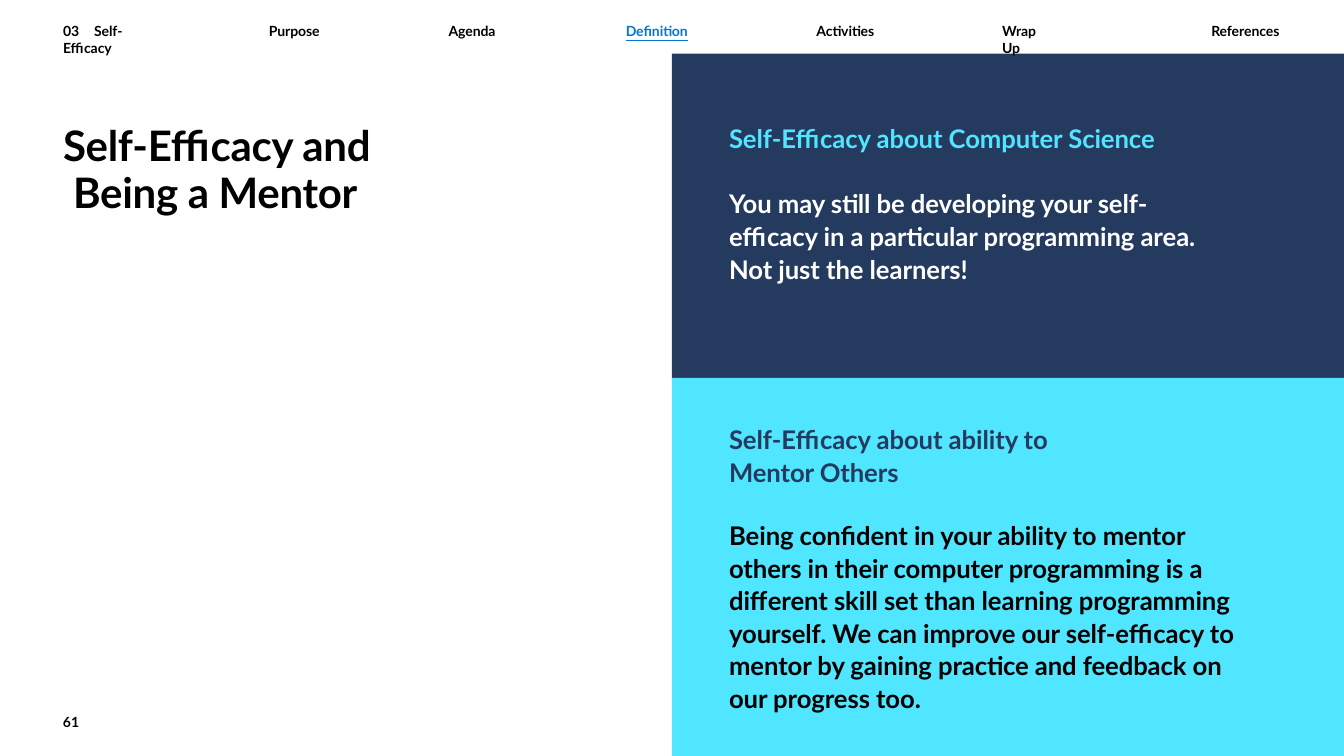
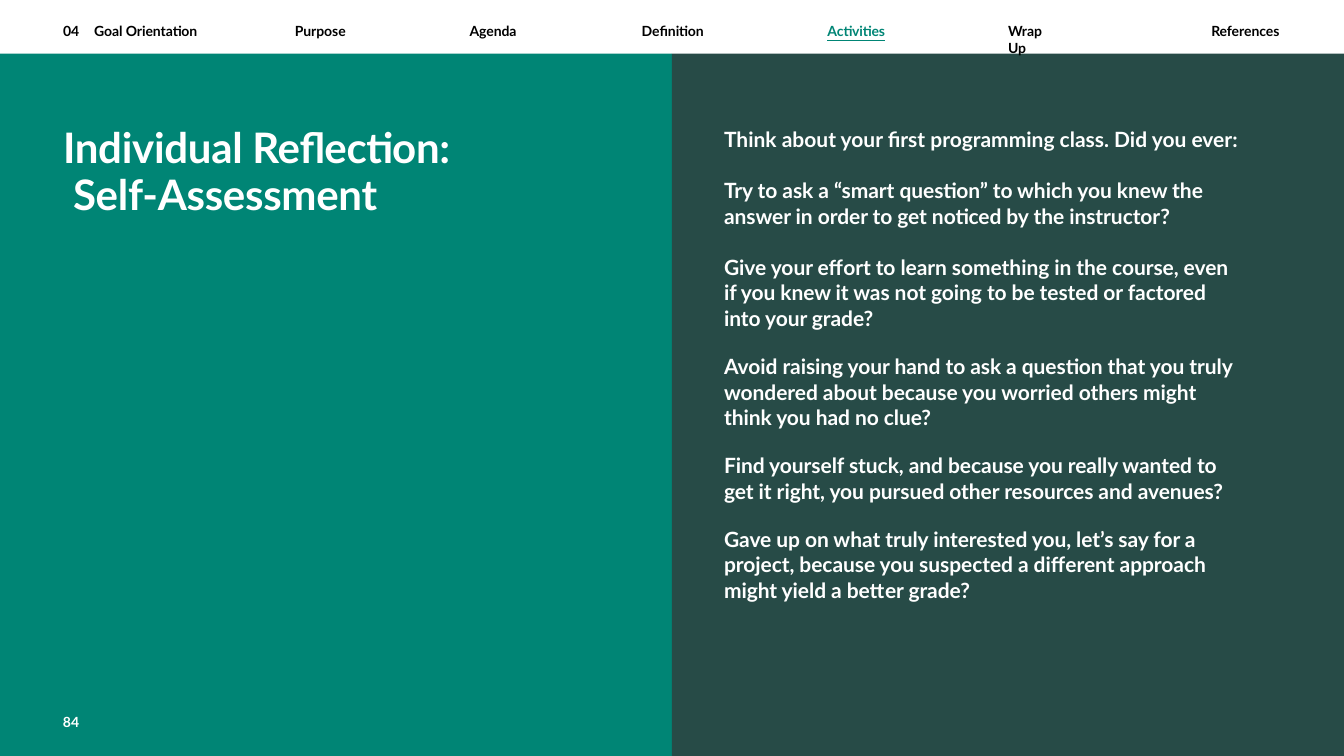
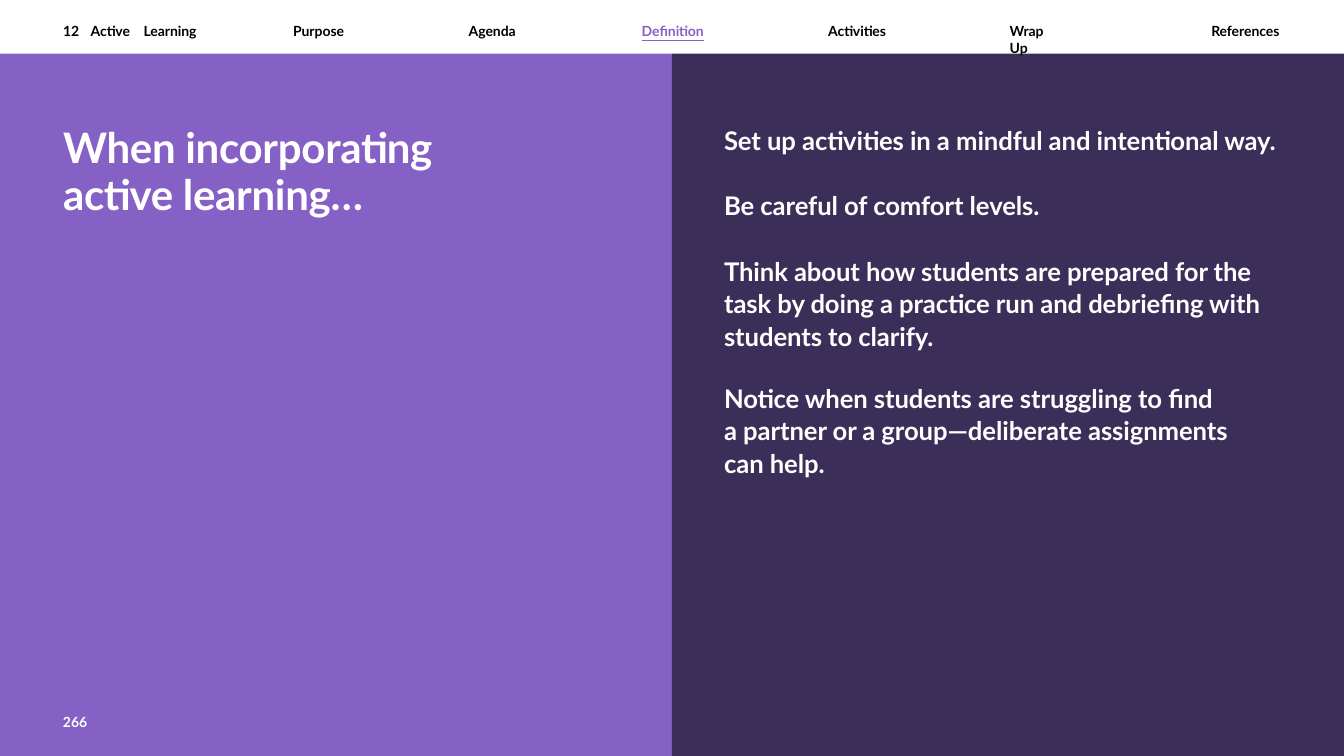
from dataclasses import dataclass

from lxml import etree
from pptx import Presentation
from pptx.dml.color import RGBColor
from pptx.enum.shapes import MSO_SHAPE
from pptx.enum.text import MSO_ANCHOR, PP_ALIGN
from pptx.oxml.ns import qn
from pptx.util import Inches, Pt

RECTANGLE = MSO_SHAPE.RECTANGLE
TOP = MSO_ANCHOR.TOP
LEFT = PP_ALIGN.LEFT

COLUMNS, ROWS = 16, 9
CELL = Inches(1)
HEADER_ROWS = 0.64
FONT = "Lato"
TITLE_ONLY = 5

COLORS = {
    "white": "FFFFFF",
    "black": "000000",
    "navy": "243A5E",
    "cyan": "50E6FF",
    "blue": "0078D4",
    "teal": "008575",
    "pine": "274B47",
    "violet": "8661C5",
    "plum": "3B2E58",
}

MENU = [("Purpose", 0.64), ("Agenda", 0.61), ("Definition", 0.77),
        ("Activities", 0.71), ("Wrap\nUp", 0.82)]
LAST_ITEM = "References"


@dataclass
class Box:
    """A region measured in grid columns and rows."""

    left: float
    top: float
    width: float
    height: float

    def inner(self, left, top, width, height):
        """Return a box placed relative to this one."""
        return Box(self.left + left, self.top + top, width, height)

    def lengths(self):
        """Return left, top, width and height as slide lengths."""
        sides = (self.left, self.top, self.width, self.height)
        return [round(side * CELL) for side in sides]


@dataclass
class Style:
    """The look of one block of text."""

    size: float
    color: str
    leading: object = None
    gap: float = 0
    tracking: float = -0.06
    underline: bool = False
    tabs: tuple = ()
    hanging: float = 0


HEADER = Box(0, 0, COLUMNS, HEADER_ROWS)
BODY_ROWS = ROWS - HEADER_ROWS
LEFT_HALF = Box(0, HEADER_ROWS, COLUMNS / 2, BODY_ROWS)
RIGHT_HALF = Box(COLUMNS / 2, HEADER_ROWS, COLUMNS / 2, BODY_ROWS)


def format_paragraph(para, style):
    """Set alignment, spacing, indents and tab stops of a paragraph."""
    para.alignment = LEFT
    para.space_before = Pt(0)
    if style.leading:
        para.line_spacing = style.leading
    properties = para._p.get_or_add_pPr()
    if style.hanging:
        properties.set("marL", str(round(style.hanging * CELL)))
        properties.set("indent", str(-round(style.hanging * CELL)))
    if style.tabs:
        stops = etree.SubElement(properties, qn("a:tabLst"))
        for stop in style.tabs:
            etree.SubElement(stops, qn("a:tab"),
                             pos=str(round(stop * CELL)), algn="l")


def add_span(para, text, style):
    """Add one formatted run."""
    span = para.add_run()
    span.text = text
    span.font.name = FONT
    span.font.size = Pt(style.size)
    span.font.bold = True
    span.font.underline = style.underline
    span.font.color.rgb = RGBColor.from_string(COLORS[style.color])
    span._r.get_or_add_rPr().set("spc", str(round(style.tracking * 100)))


def fill_frame(frame, paragraphs, style, inset=0.01):
    """Write paragraphs, given as (text, colour) or text, into a frame."""
    frame.word_wrap = True
    frame.vertical_anchor = TOP
    frame.margin_left = frame.margin_right = frame.margin_bottom = 0
    frame.margin_top = round(inset * CELL)
    for number, text in enumerate(paragraphs):
        para = frame.add_paragraph() if number else frame.paragraphs[0]
        format_paragraph(para, style)
        if number:
            para.space_before = Pt(style.gap)
        look = style
        if isinstance(text, tuple):
            text, color = text
            look = Style(style.size, color, tracking=style.tracking)
        for row, line in enumerate(text.split("\n")):
            if row:
                para.add_line_break()
            add_span(para, line, look)


def add_text(page, box, paragraphs, style, inset=0.01):
    """Add a text box."""
    shape = page.shapes.add_textbox(*box.lengths())
    fill_frame(shape.text_frame, paragraphs, style, inset)


def add_panel(page, box, color):
    """Add a plain coloured rectangle."""
    panel = page.shapes.add_shape(RECTANGLE, *box.lengths())
    panel.shadow.inherit = False
    panel.fill.solid()
    panel.fill.fore_color.rgb = RGBColor.from_string(COLORS[color])
    panel.line.fill.background()


def add_header(page, box, chapter, tabs, active, accent, start, gap):
    """Add the chapter name and the evenly spaced menu."""
    add_text(page, box.inner(0.75, 0.26, 1.75, 0.23), [chapter],
             Style(12, "black", tabs=tabs))
    places = []
    left = start
    for label, width in MENU:
        places.append((label, left, width))
        left += width + gap
    places.append((LAST_ITEM, 14.42, 0.9))
    for label, left, width in places:
        chosen = label == active
        style = Style(12, accent if chosen else "black", underline=chosen)
        add_text(page, box.inner(left, 0.26, width, 0.23), [label], style)


def add_title(page, box, text, color, top, hanging):
    """Move, raise and format the title placeholder inside the left half."""
    title = page.shapes.title
    page.shapes.element.append(title.element)
    place = box.inner(0.75, top, 6.5, 1.18)
    title.left, title.top, title.width, title.height = place.lengths()
    style = Style(36, color, Pt(40), tracking=-0.25, hanging=hanging)
    fill_frame(title.text_frame, [text], style, 0.07)


def add_number(page, box, number, color):
    """Add the page number at the foot of the left half."""
    add_text(page, box.inner(0.75, 7.83, 0.5, 0.23), [number],
             Style(12, color, tracking=0), 0.03)


def add_page(deck, panels, header, title, number, ink, blocks,
             title_top=0.78, hanging=0.0):
    """Add one split page with header, title, page number and text blocks."""
    page = deck.slides.add_slide(deck.slide_layouts[TITLE_ONLY])
    for box, color in panels:
        add_panel(page, box, color)
    add_header(page, HEADER, **header)
    add_title(page, LEFT_HALF, title, ink, title_top, hanging)
    add_number(page, LEFT_HALF, number, ink)
    for place, paragraphs, style in blocks:
        add_text(page, RIGHT_HALF.inner(*place), paragraphs, style)


def add_efficacy_page(deck):
    """Add the page on self-efficacy with two stacked panels."""
    upper_rows = 3.86
    panels = [
        (RIGHT_HALF.inner(0, 0, 8, upper_rows), "navy"),
        (RIGHT_HALF.inner(0, upper_rows, 8, BODY_ROWS - upper_rows), "cyan"),
    ]
    header = dict(chapter="03\tSelf-\nEfficacy", tabs=(0.37,),
                  active="Definition", accent="blue", start=3.2, gap=1.5)
    blocks = [
        ((0.68, 0.81, 6.8, 0.39), ["Self-Efficacy about Computer Science"],
         Style(22, "cyan")),
        ((0.68, 1.57, 6.8, 1.2),
         ["You may still be developing your self-\n"
          "efficacy in a particular programming area.\n"
          "Not just the learners!"], Style(22, "white", 1.06)),
        ((0.68, 4.38, 6.8, 3.53),
         [("Self-Efficacy about ability to\nMentor Others", "navy"),
          "Being confident in your ability to mentor\n"
          "others in their computer programming is a\n"
          "different skill set than learning programming\n"
          "yourself. We can improve our self-efficacy to\n"
          "mentor by gaining practice and feedback on\n"
          "our progress too."], Style(22, "black", 1.06, 26)),
    ]
    add_page(deck, panels, header, "Self-Efficacy and\nBeing a Mentor", "61",
             "black", blocks, title_top=0.76, hanging=0.12)


def add_reflection_page(deck):
    """Add the page with self-assessment questions."""
    panels = [(LEFT_HALF, "teal"), (RIGHT_HALF, "pine")]
    header = dict(chapter="04\tGoal Orientation", tabs=(0.37,),
                  active="Activities", accent="teal", start=3.51, gap=1.44)
    blocks = [
        ((0.62, 0.86, 7, 0.33),
         ["Think about your first programming class. Did you ever:"],
         Style(18, "white", tracking=0)),
        ((0.62, 1.46, 7, 0.63),
         ["Try to ask a “smart question” to which you knew the\n"
          "answer in order to get noticed by the instructor?"],
         Style(18, "white", 1.02)),
        ((0.62, 2.37, 7, 4.3),
         ["Give your effort to learn something in the course, even\n"
          "if you knew it was not going to be tested or factored\n"
          "into your grade?",
          "Avoid raising your hand to ask a question that you truly\n"
          "wondered about because you worried others might\n"
          "think you had no clue?",
          "Find yourself stuck, and because you really wanted to\n"
          "get it right, you pursued other resources and avenues?",
          "Gave up on what truly interested you, let’s say for a\n"
          "project, because you suspected a different approach\n"
          "might yield a better grade?"], Style(18, "white", 1.02, 19)),
    ]
    add_page(deck, panels, header, "Individual Reflection:\nSelf-Assessment",
             "84", "white", blocks, hanging=0.12)


def add_learning_page(deck):
    """Add the page with advice on active learning."""
    panels = [(LEFT_HALF, "violet"), (RIGHT_HALF, "plum")]
    header = dict(chapter="12\tActive\tLearning", tabs=(0.33, 0.96),
                  active="Definition", accent="violet", start=3.49, gap=1.45)
    blocks = [
        ((0.62, 0.84, 7.2, 0.39),
         ["Set up activities in a mindful and intentional way."],
         Style(22, "white")),
        ((0.62, 1.61, 7.2, 0.39), ["Be careful of comfort levels."],
         Style(22, "white")),
        ((0.62, 2.37, 7.2, 2.75),
         ["Think about how students are prepared for the\n"
          "task by doing a practice run and debriefing with\n"
          "students to clarify.",
          "Notice when students are struggling to find\n"
          "a partner or a group—deliberate assignments\n"
          "can help."], Style(22, "white", 1.06, 25)),
    ]
    add_page(deck, panels, header, "When incorporating\nactive learning…",
             "266", "white", blocks)


def main():
    """Build and save the deck."""
    deck = Presentation()
    deck.slide_width = COLUMNS * CELL
    deck.slide_height = ROWS * CELL
    add_efficacy_page(deck)
    add_reflection_page(deck)
    add_learning_page(deck)
    deck.save("out.pptx")


if __name__ == "__main__":
    main()
